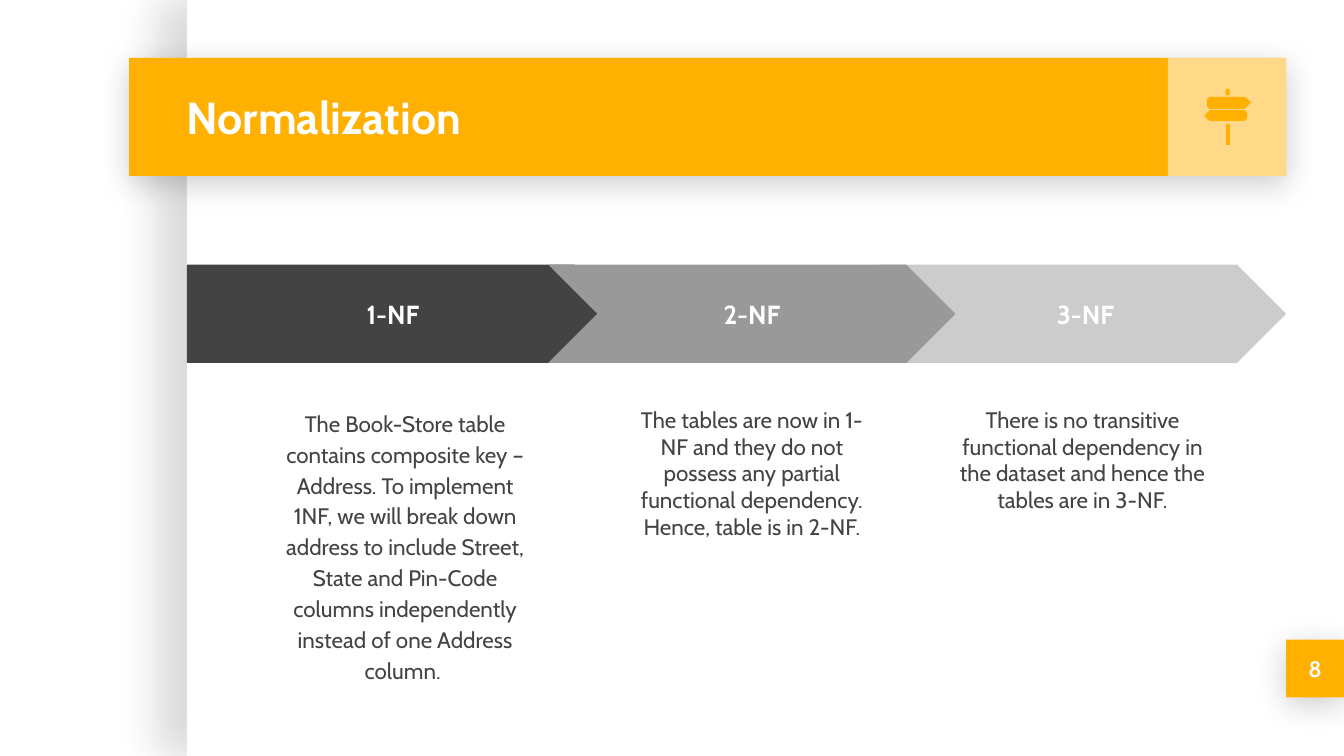
from dataclasses import dataclass

from lxml.etree import SubElement
from pptx import Presentation
from pptx.dml.color import RGBColor
from pptx.enum.shapes import MSO_SHAPE
from pptx.enum.text import MSO_ANCHOR, PP_ALIGN
from pptx.oxml.ns import qn
from pptx.util import Inches, Pt


@dataclass(frozen=True)
class Theme:
    """Colours, typeface and type sizes of the slide."""

    white: str = "FFFFFF"
    accent: str = "FFB000"
    dark: str = "434343"
    medium: str = "999999"
    light: str = "CCCCCC"
    font: str = "Cabin"
    title_size: int = 24
    label_size: int = 14
    body_size: int = 12


THEME = Theme()
SLIDE_WIDTH = 10
SLIDE_HEIGHT = SLIDE_WIDTH * 9 / 16

STEPS = [
    (" 3-NF", MSO_SHAPE.CHEVRON, 6.54, 3.03, THEME.light, 1.0,
     "There is no transitive functional dependency in the dataset and hence "
     "the tables are in 3-NF."),
    ("1-NF", MSO_SHAPE.PENTAGON, 1.39, 3.25, THEME.dark, 1.15,
     "The Book-Store table contains composite key – Address. To implement 1NF, "
     "we will break down address to include Street, State and Pin-Code columns "
     "independently instead of one Address column. "),
    ("2-NF", MSO_SHAPE.CHEVRON, 4.08, 3.03, THEME.medium, 1.0,
     "The tables are now in 1-NF and they do not possess any partial "
     "functional dependency. Hence, table is in 2-NF."),
]

SIGNPOST_UNIT = Inches(0.01)
SIGNPOST = [
    [(900, 72), (926, 72), (931, 76), (926, 81), (900, 81), (898, 79), (898, 74)],
    [(900, 82), (896, 86), (900, 90), (926, 90), (928, 88), (928, 84), (926, 82)],
    [(913, 66), (912, 67), (912, 71), (915, 71), (915, 67), (914, 66)],
    [(912, 92), (912, 108), (915, 108), (915, 92)],
]


def paint(shape, color):
    """Give a shape a flat fill without line or shadow."""
    shape.shadow.inherit = False
    shape.fill.solid()
    shape.fill.fore_color.rgb = RGBColor.from_string(color)
    shape.line.fill.background()


def add_block(slide, kind, box, color):
    """Add a flat preset shape."""
    shape = slide.shapes.add_shape(kind, *map(Inches, box))
    paint(shape, color)
    return shape


def set_alpha(color_element, percent):
    """Set the opacity of a colour element."""
    SubElement(color_element, qn("a:alpha"), val=str(percent * 1000))


def add_shadow(shape, percent, blur, distance, angle):
    """Add a soft black outer shadow."""
    effects = shape._element.spPr.find(qn("a:effectLst"))
    shadow = SubElement(
        effects, qn("a:outerShdw"), blurRad=str(Pt(blur)),
        dist=str(Pt(distance)), dir=str(angle * 60000),
        algn="bl", rotWithShape="0")
    set_alpha(SubElement(shadow, qn("a:srgbClr"), val="000000"), percent)


def write_text(shape, text, size, color, bold=False,
               alignment=PP_ALIGN.CENTER, anchor=MSO_ANCHOR.MIDDLE, spacing=1.0):
    """Write one paragraph into a shape."""
    frame = shape.text_frame
    frame.word_wrap = True
    frame.vertical_anchor = anchor
    frame.margin_left = frame.margin_right = Inches(0.1)
    frame.margin_top = frame.margin_bottom = Inches(0.1)
    paragraph = frame.paragraphs[0]
    paragraph.alignment = alignment
    paragraph.line_spacing = spacing
    run = paragraph.add_run()
    run.text = text
    run.font.name = THEME.font
    run.font.size = Pt(size)
    run.font.bold = bold
    run.font.color.rgb = RGBColor.from_string(color)


def add_text_box(slide, box, *text, **style):
    """Add a text box with one paragraph."""
    write_text(slide.shapes.add_textbox(*map(Inches, box)), *text, **style)


def add_frame(slide):
    """Add the white page panel and the page number tab."""
    panel = add_block(slide, MSO_SHAPE.RECTANGLE,
                      (1.39, 0, 8.61, SLIDE_HEIGHT), THEME.white)
    add_shadow(panel, 15, 22.5, 15, 180)
    tab = add_block(slide, MSO_SHAPE.RECTANGLE, (9.57, 4.76, 0.43, 0.43), THEME.accent)
    add_shadow(tab, 20, 16.9, 3.8, 90)
    write_text(tab, "8", THEME.body_size, THEME.white, bold=True)


def add_title_bar(slide):
    """Add the title bar with its pale icon tile."""
    bar = add_block(slide, MSO_SHAPE.RECTANGLE, (0.96, 0.43, 8.61, 0.88), THEME.accent)
    add_shadow(bar, 20, 16.9, 3.8, 90)
    tile = add_block(slide, MSO_SHAPE.RECTANGLE, (8.69, 0.43, 0.88, 0.88), THEME.white)
    set_alpha(tile._element.spPr.find(qn("a:solidFill"))[0], 53)
    add_text_box(slide, (1.29, 0.43, 7.37, 0.88), "Normalization",
                 THEME.title_size, THEME.white, bold=True, alignment=PP_ALIGN.LEFT)


def add_signpost(slide):
    """Add the signpost icon, one outline per part."""
    for start, *others in SIGNPOST:
        builder = slide.shapes.build_freeform(*start, scale=SIGNPOST_UNIT)
        builder.add_line_segments(others)
        paint(builder.convert_to_shape(), THEME.accent)


def add_step(slide, label, kind, left, width, color, spacing, caption):
    """Add an arrow with its caption centred below."""
    arrow = add_block(slide, kind, (left, 1.97, width, 0.73), color)
    write_text(arrow, label, THEME.label_size, THEME.white, bold=True)
    caption_width = 2.05
    caption_left = left + (width - caption_width) / 2
    add_text_box(slide, (caption_left, 2.92, caption_width, 2.1), caption,
                 THEME.body_size, THEME.dark, anchor=MSO_ANCHOR.TOP, spacing=spacing)


def main():
    """Build and save the slide."""
    presentation = Presentation()
    presentation.slide_width = Inches(SLIDE_WIDTH)
    presentation.slide_height = Inches(SLIDE_HEIGHT)
    slide = presentation.slides.add_slide(presentation.slide_layouts[6])
    add_frame(slide)
    add_title_bar(slide)
    add_signpost(slide)
    for step in STEPS:
        add_step(slide, *step)
    presentation.save("out.pptx")


if __name__ == "__main__":
    main()
